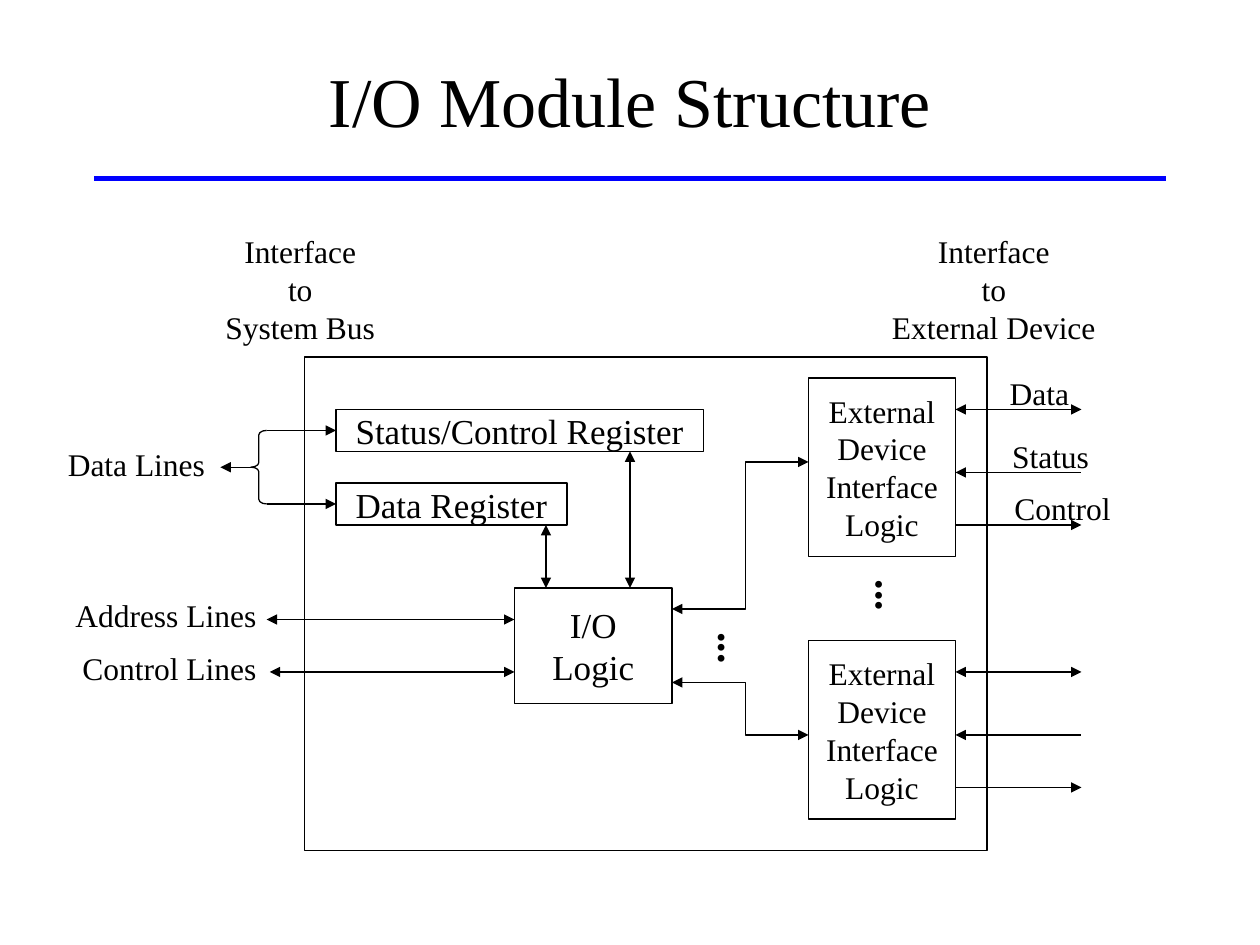
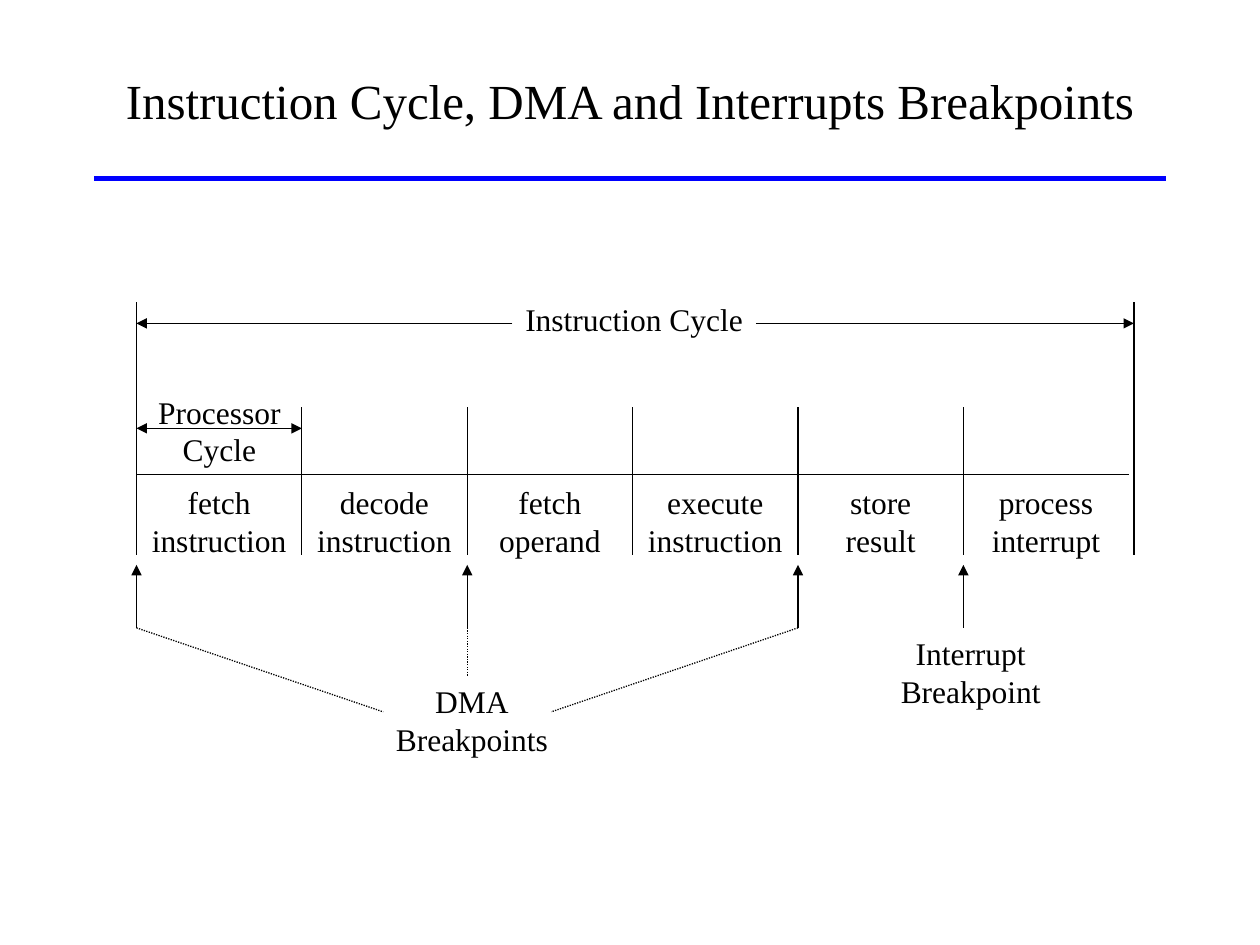
from lxml.etree import SubElement
from pptx import Presentation
from pptx.dml.color import RGBColor
from pptx.enum.dml import MSO_LINE
from pptx.enum.shapes import MSO_CONNECTOR, MSO_SHAPE
from pptx.enum.text import MSO_ANCHOR, PP_ALIGN
from pptx.oxml.ns import qn
from pptx.util import Cm, Pt

FONT = "Times New Roman"
BLACK, BLUE = "000000", "0000FF"
SLIDE_WIDTH, SLIDE_HEIGHT = 25.4, 19.05  # cm
STEP = SLIDE_WIDTH / 120                 # all positions count these grid steps

# I/O module: boxes as text, size, (left, top, width, height)
DEVICE_TEXT = "External\nDevice\nInterface\nLogic"
DEVICE_LEFT, DEVICE_WIDTH, DEVICE_HEIGHT = 77, 14, 17
DEVICE_TOPS = (36, 61)
DEVICE_RIGHT = DEVICE_LEFT + DEVICE_WIDTH
MODULE_BOXES = [
    ("", 20, (29, 34, 65, 47)),
    ("Data Register", 20, (32, 46, 22, 4)),
    ("Status/Control Register", 20, (32, 39, 35, 4)),
    ("I/O\nLogic", 20, (49, 56, 15, 11)),
] + [(DEVICE_TEXT, 18, (DEVICE_LEFT, top, DEVICE_WIDTH, DEVICE_HEIGHT)) for top in DEVICE_TOPS]
DEVICE_SIGNALS = [(3, "both"), (9, "start"), (14, "end")]  # offset from box top, heads
SIGNAL_LENGTH = 12
MODULE_LINES = [
    ((52, 50), (52, 56), "both"),
    ((60, 43), (60, 56), "both"),
    ((25.4, 41), (32, 41), "end"),
    ((25.4, 48), (32, 48), "end"),
    ((23.9, 44.5), (21, 44.5), "end"),
    ((49, 59), (25.4, 59), "both"),
    ((49, 64), (25.7, 64), "both"),
]
LOGIC_LINKS = [
    [(64, 58), (71, 58), (71, 44), (77, 44)],
    [(64, 65), (71, 65), (71, 70), (77, 70)],
]
DATA_BRACE = (23.9, 41, 1.5, 7)
# labels as text, left, top, width
MODULE_LABELS = [
    ("Data", 95, 35, 8),
    ("Status", 95.2, 41, 9.7),
    ("Control", 95.4, 46, 11.6),
    ("Data Lines", 5.3, 41.8, 15.4),
    ("Address Lines", 6, 56.2, 19.6),
    ("Control Lines", 6.7, 61.2, 18.9),
    ("Interface\nto\nSystem Bus", 20.3, 21.5, 16.6),
    ("Interface\nto\nExternal Device", 83.8, 21.5, 21.7),
]
ELLIPSES = [(81.8, 53.7), (66.8, 58.7)]

# Instruction cycle
PHASES = ["fetch\ninstruction", "decode\ninstruction", "fetch\noperand",
          "execute\ninstruction", "store\nresult", "process\ninterrupt"]
CYCLE_LEFT, CYCLE_RIGHT, PHASE_WIDTH = 13, 108, 15.75
CYCLE_TOP, PHASE_TOP, AXIS_Y, PHASE_BOTTOM = 28.8, 38.8, 45.2, 52.9
ARROW_TIP, ARROW_FOOT = 53.8, 59.8
DMA_PHASES, INTERRUPT_PHASE = (0, 2, 4), 5
DMA_ENDS = [(36.5, 67.8), (44.5, 64.4), (52.5, 67.8)]
CYCLE_LABELS = [
    ("Instruction Cycle", 48.8, 28, 23.2),
    ("Processor\nCycle", 13.9, 36.8, 14),
    ("DMA\nBreakpoints", 36.5, 64.4, 16.9),
    ("Interrupt\nBreakpoint", 84.6, 59.8, 15.7),
]


def grid(*steps):
    return [Cm(step * STEP) for step in steps]


def color(hex_string):
    return RGBColor.from_string(hex_string)


def set_line(line, hex_string=BLACK, points=0.75, heads="none"):
    line.color.rgb = color(hex_string)
    line.width = Pt(points)
    line_xml = line._get_or_add_ln()
    for tag, ends in (("a:headEnd", ("start", "both")), ("a:tailEnd", ("end", "both"))):
        if heads in ends:
            SubElement(line_xml, qn(tag), type="triangle")


def add_line(page, start, end, heads="none", hex_string=BLACK, points=0.75, dotted=False):
    connector = page.shapes.add_connector(MSO_CONNECTOR.STRAIGHT, *grid(*start, *end))
    if dotted:
        connector.line.dash_style = MSO_LINE.ROUND_DOT
    set_line(connector.line, hex_string, points, heads)
    SubElement(connector._element.spPr, qn("a:effectLst"))


def outline(shape, heads="none"):
    """Leave a shape with nothing but a thin black line."""
    shape.shadow.inherit = False
    shape.fill.background()
    set_line(shape.line, heads=heads)


def write(shape, text, size, anchor=MSO_ANCHOR.MIDDLE, bold=False):
    frame = shape.text_frame
    frame.text = text
    frame.word_wrap = False
    frame.margin_left = frame.margin_right = Cm(0)
    frame.vertical_anchor = anchor
    for para in frame.paragraphs:
        para.alignment = PP_ALIGN.CENTER
        for span in para.runs:
            span.font.name = FONT
            span.font.size = Pt(size)
            span.font.bold = bold
            span.font.color.rgb = color(BLACK)


def add_label(page, text, left, top, width):
    height = 1.2 + 3.6 * len(text.split("\n"))
    box = page.shapes.add_textbox(*grid(left, top, width, height))
    write(box, text, 18, MSO_ANCHOR.TOP)


def add_page(deck, title, size):
    page = deck.slides.add_slide(deck.slide_layouts[6])
    add_line(page, (9, 17), (111, 17), hex_string=BLUE, points=3)
    write(page.shapes.add_textbox(*grid(9, 2, 102, 15)), title, size)
    return page


def build_module(deck):
    page = add_page(deck, "I/O Module Structure", 40)
    for text, size, place in MODULE_BOXES:
        box = page.shapes.add_shape(MSO_SHAPE.RECTANGLE, *grid(*place))
        outline(box)
        if text:
            write(box, text, size)
    for points in LOGIC_LINKS:
        start, *rest = [grid(*point) for point in points]
        builder = page.shapes.build_freeform(*start)
        builder.add_line_segments(rest, close=False)
        outline(builder.convert_to_shape(), "both")
    brace = page.shapes.add_shape(MSO_SHAPE.LEFT_BRACE, *grid(*DATA_BRACE))
    brace.adjustments[0] = 0.29
    outline(brace)
    for start, end, heads in MODULE_LINES:
        add_line(page, start, end, heads)
    for top in DEVICE_TOPS:
        for offset, heads in DEVICE_SIGNALS:
            y = top + offset
            add_line(page, (DEVICE_RIGHT, y), (DEVICE_RIGHT + SIGNAL_LENGTH, y), heads)
    for left, top in ELLIPSES:
        dots = page.shapes.add_textbox(*grid(left, top, 6.4, 6))
        dots.rotation = 90
        write(dots, "...", 24, MSO_ANCHOR.TOP, bold=True)
    for label in MODULE_LABELS:
        add_label(page, *label)


def build_cycle(deck):
    page = add_page(deck, "Instruction Cycle, DMA and Interrupts Breakpoints", 28)
    starts = [CYCLE_LEFT + index * PHASE_WIDTH for index in range(len(PHASES))]
    for index, (phase, x) in enumerate(zip(PHASES, starts)):
        top = PHASE_TOP if index else CYCLE_TOP
        add_line(page, (x, top), (x, PHASE_BOTTOM))
        add_label(page, phase, x, AXIS_Y + 0.2, PHASE_WIDTH)
    add_line(page, (CYCLE_RIGHT, CYCLE_TOP), (CYCLE_RIGHT, PHASE_BOTTOM))
    add_line(page, (CYCLE_LEFT, AXIS_Y), (starts[-1] + PHASE_WIDTH, AXIS_Y))
    add_line(page, (48.8, 30.8), (CYCLE_LEFT, 30.8), "end")
    add_line(page, (72, 30.8), (CYCLE_RIGHT, 30.8), "end")
    add_line(page, (CYCLE_LEFT, 40.8), (starts[1], 40.8), "both")
    for index in (*DMA_PHASES, INTERRUPT_PHASE):
        add_line(page, (starts[index], ARROW_FOOT), (starts[index], ARROW_TIP), "end")
    for index, end in zip(DMA_PHASES, DMA_ENDS):
        add_line(page, (starts[index], ARROW_FOOT), end, dotted=True)
    for label in CYCLE_LABELS:
        add_label(page, *label)


def main():
    deck = Presentation()
    deck.slide_width, deck.slide_height = Cm(SLIDE_WIDTH), Cm(SLIDE_HEIGHT)
    build_module(deck)
    build_cycle(deck)
    deck.save("out.pptx")


if __name__ == "__main__":
    main()
